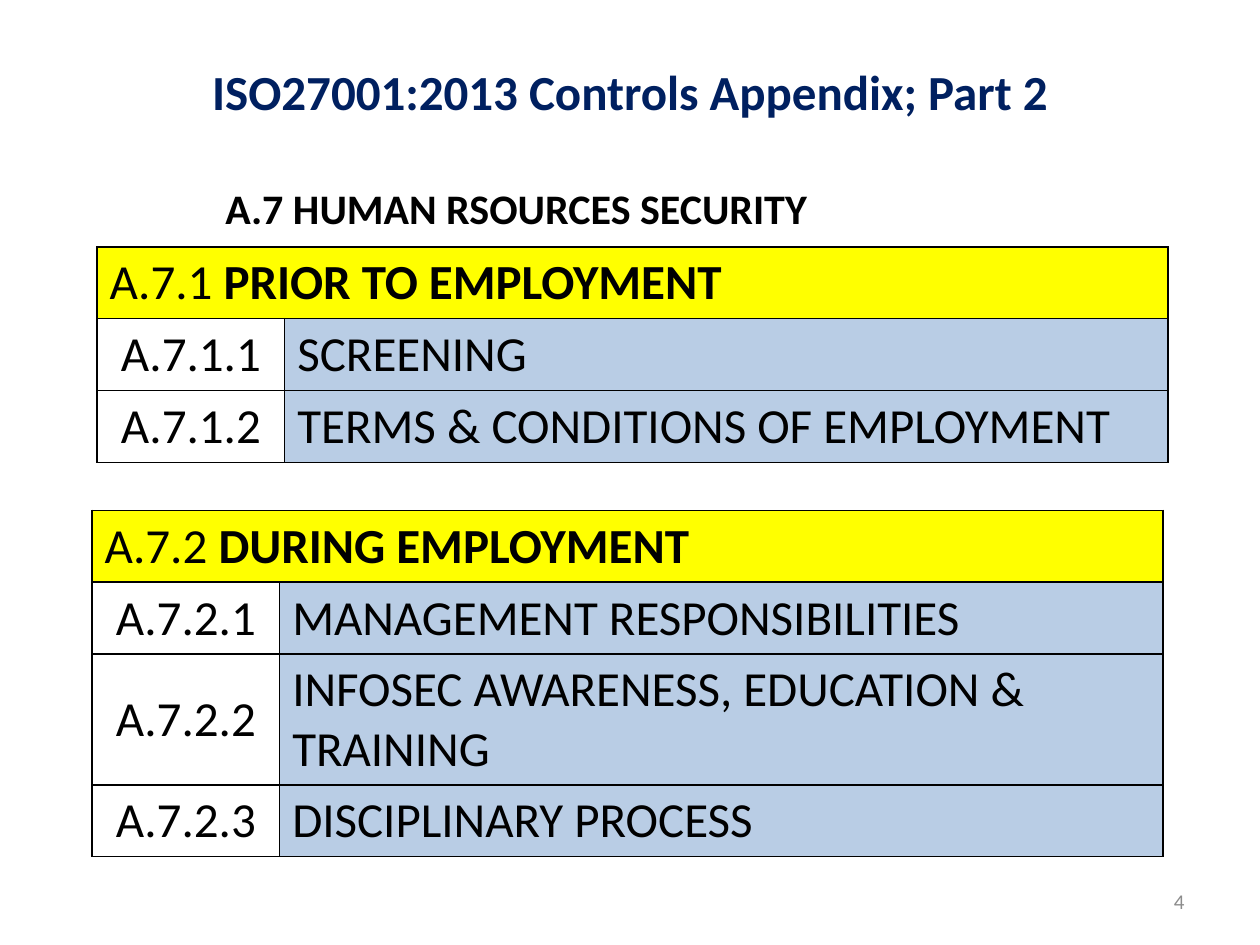
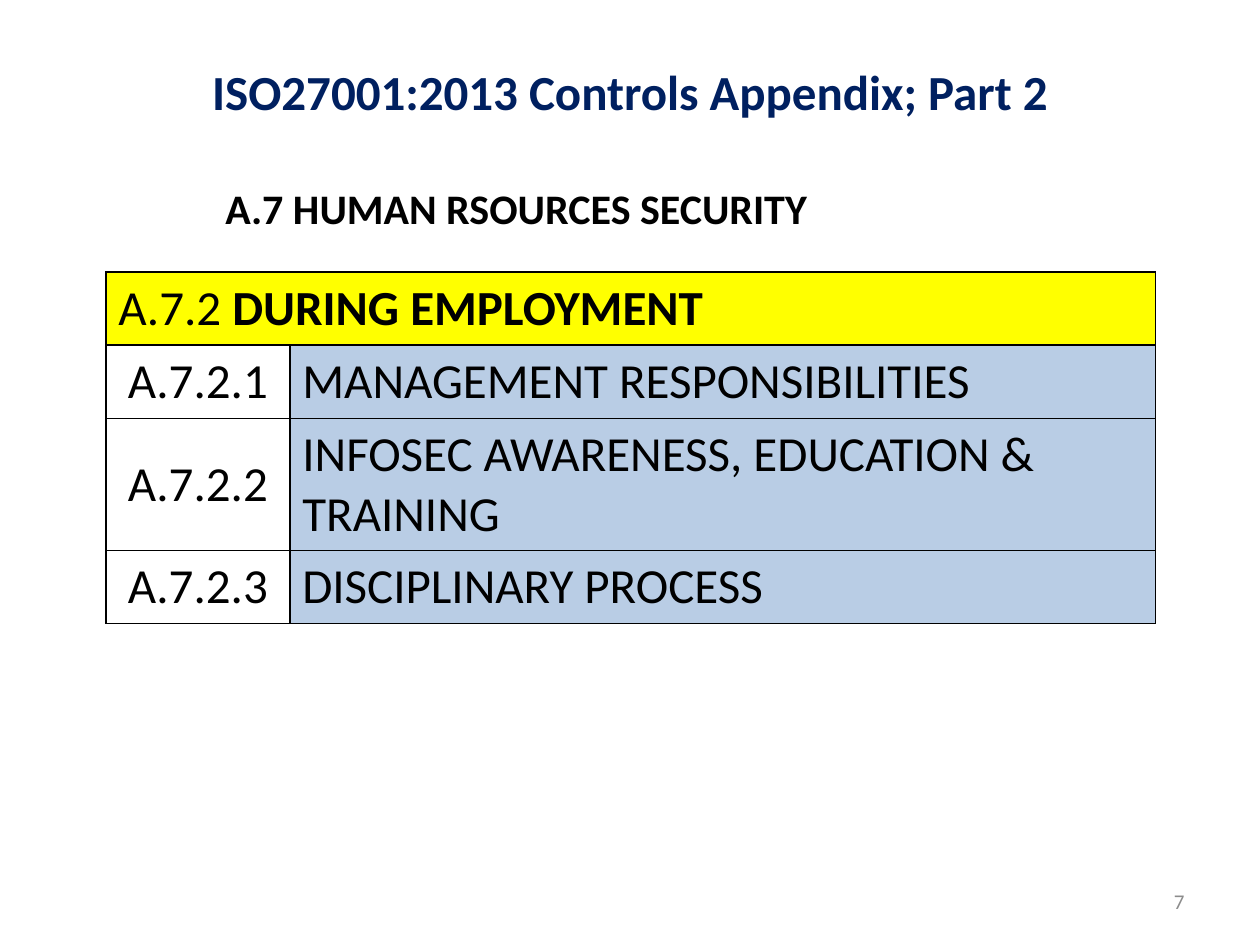
"""Build the two slides on the human resources controls of ISO27001:2013."""
from dataclasses import dataclass

from lxml.etree import SubElement
from pptx import Presentation
from pptx.dml.color import RGBColor
from pptx.enum.text import MSO_ANCHOR as Anchor, PP_ALIGN as Align
from pptx.oxml.ns import qn
from pptx.slide import Slide
from pptx.table import _Cell as Cell
from pptx.text.text import TextFrame
from pptx.util import Inches, Pt

FONT = "Calibri"
NAVY = RGBColor(0x00, 0x20, 0x60)
BLACK = RGBColor(0x00, 0x00, 0x00)
GREY = RGBColor(0x8C, 0x8C, 0x8C)
YELLOW = RGBColor(0xFF, 0xFF, 0x00)
PALE_BLUE = RGBColor(0xB9, 0xCD, 0xE5)

TITLE = "ISO27001:2013 Controls Appendix; Part 2"
SECTION = "A.7 HUMAN RSOURCES SECURITY"
EXTRA_LINE = 0.47


@dataclass(frozen=True)
class Control:
    """One control and the number of lines its name takes."""
    name: str
    lines: int = 1


@dataclass(frozen=True)
class ControlGroup:
    """A numbered group of controls."""
    code: str
    name: str
    controls: tuple[Control, ...]


@dataclass(frozen=True)
class Placement:
    """Position and measures of a control table, in inches."""
    left: float
    top: float
    code_width: float
    name_width: float
    row_height: float


PRIOR = ControlGroup("A.7.1", "PRIOR TO EMPLOYMENT", (
    Control("SCREENING"),
    Control("TERMS & CONDITIONS OF EMPLOYMENT"),
))
DURING = ControlGroup("A.7.2", "DURING EMPLOYMENT", (
    Control("MANAGEMENT RESPONSIBILITIES"),
    Control("INFOSEC AWARENESS, EDUCATION & TRAINING", lines=2),
    Control("DISCIPLINARY PROCESS"),
))
SLIDES = {
    4: ((PRIOR, Placement(0.77, 1.96, 1.49, 7.01, 0.57)),
        (DURING, Placement(0.73, 4.05, 1.49, 7.01, 0.57))),
    7: ((DURING, Placement(0.84, 2.16, 1.46, 6.87, 0.58)),),
}


def write(frame: TextFrame, text: str, *, size: float = 28, bold: bool = False,
          color: RGBColor = BLACK, align: Align = Align.LEFT) -> None:
    """Add a formatted run to the first paragraph of a text frame."""
    paragraph = frame.paragraphs[0]
    paragraph.alignment = align
    run = paragraph.add_run()
    run.text = text
    run.font.name = FONT
    run.font.size = Pt(size)
    run.font.bold = bold
    run.font.color.rgb = color


def add_text_frame(slide: Slide, left: float, top: float, width: float, height: float,
                   *, anchor: Anchor = Anchor.MIDDLE, wrap: bool = True) -> TextFrame:
    """Add a text box and return its text frame."""
    box = slide.shapes.add_textbox(Inches(left), Inches(top), Inches(width), Inches(height))
    frame = box.text_frame
    frame.word_wrap = wrap
    frame.vertical_anchor = anchor
    return frame


def style_cell(cell: Cell, fill: RGBColor | None = None) -> None:
    """Give a cell thin black borders and its fill."""
    properties = cell._tc.get_or_add_tcPr()
    for side in ("a:lnL", "a:lnR", "a:lnT", "a:lnB"):
        line = SubElement(properties, qn(side), w=str(Pt(1)))
        solid = SubElement(line, qn("a:solidFill"))
        SubElement(solid, qn("a:srgbClr"), val=str(BLACK))
    if fill is None:
        cell.fill.background()
    else:
        cell.fill.solid()
        cell.fill.fore_color.rgb = fill


def add_control_table(slide: Slide, group: ControlGroup, place: Placement) -> None:
    """Add a table with a heading row and one row per control."""
    heights = [place.row_height] + [
        place.row_height + (control.lines - 1) * EXTRA_LINE for control in group.controls]
    widths = (place.code_width, place.name_width)
    table = slide.shapes.add_table(
        len(heights), len(widths), Inches(place.left), Inches(place.top),
        Inches(sum(widths)), Inches(sum(heights))).table
    for column, width in zip(table.columns, widths):
        column.width = Inches(width)
    for row, height in zip(table.rows, heights):
        row.height = Inches(height)

    heading = table.cell(0, 0)
    heading.merge(table.cell(0, 1))
    for cell in table.rows[0].cells:
        style_cell(cell, YELLOW)
    write(heading.text_frame, f"{group.code} ")
    write(heading.text_frame, group.name, bold=True)

    for number, control in enumerate(group.controls, start=1):
        code_cell, name_cell = table.rows[number].cells
        style_cell(code_cell)
        style_cell(name_cell, PALE_BLUE)
        code_cell.vertical_anchor = name_cell.vertical_anchor = Anchor.MIDDLE
        write(code_cell.text_frame, f"{group.code}.{number}", align=Align.CENTER)
        write(name_cell.text_frame, control.name)


def add_frame(slide: Slide, page: int) -> None:
    """Add the page number, title and section heading."""
    write(add_text_frame(slide, 7.17, 6.95, 2.33, 0.4), str(page),
          size=12, color=GREY, align=Align.RIGHT)
    write(add_text_frame(slide, 0.5, 0.23, 9, 0.98), TITLE,
          bold=True, color=NAVY, align=Align.CENTER)
    write(add_text_frame(slide, 1.69, 1.4, 4.86, 0.5, anchor=Anchor.TOP, wrap=False),
          SECTION, size=24, bold=True)


def main() -> None:
    """Build and save the presentation."""
    presentation = Presentation()
    presentation.slide_width = Inches(10)
    presentation.slide_height = Inches(7.5)
    for page, tables in SLIDES.items():
        slide = presentation.slides.add_slide(presentation.slide_layouts[6])
        add_frame(slide, page)
        for group, place in tables:
            add_control_table(slide, group, place)
    presentation.save("out.pptx")


if __name__ == "__main__":
    main()
